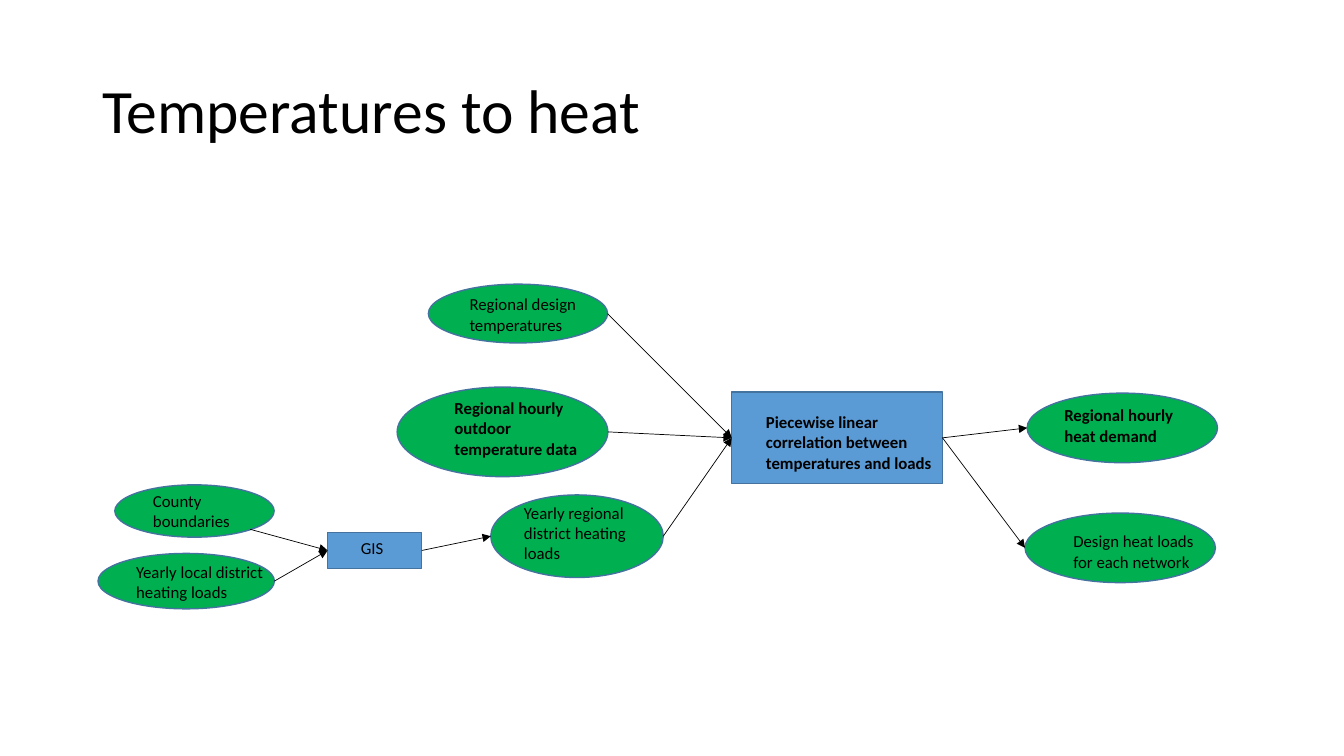
from dataclasses import dataclass

from lxml.etree import SubElement
from pptx import Presentation
from pptx.dml.color import RGBColor as Color
from pptx.enum.shapes import MSO_CONNECTOR as Link, MSO_SHAPE as Form
from pptx.enum.text import MSO_ANCHOR as Anchor
from pptx.oxml.ns import qn
from pptx.util import Pt


@dataclass(frozen=True)
class Theme:
    """Colours, font and type sizes."""
    data: str = "00B050"
    step: str = "5B9BD5"
    edge: str = "43739E"
    ink: str = "000000"
    font: str = "Calibri"
    title: int = 44
    label: int = 12


LOOK = Theme()
RIGHT, LEFT, LOWER = (1, 0.5), (0, 0.5), (0.85, 0.85)

# name: (form, box in the flow, label offset and width, label, bold)
NODES = {
    "county": (Form.OVAL, (12, 143.3, 113.8, 37.4), (20.2, 0.7, 106),
               "County boundaries", False),
    "local": (Form.OVAL, (0, 192.3, 126, 39.6), (20.2, 2.2, 106),
              "Yearly local district heating loads", False),
    "gis": (Form.RECTANGLE, (164, 177.2, 67.3, 26), (16.6, 0, 34),
            "GIS", False),
    "design": (Form.OVAL, (236, 0, 128, 42), (22.3, 3.6, 106),
               "Regional design temperatures", False),
    "hourly": (Form.OVAL, (213.7, 73.5, 150.5, 64), (33.8, 4.3, 106),
               "Regional hourly outdoor temperature data", True),
    "yearly": (Form.OVAL, (280.6, 150.5, 123.2, 59), (16.6, 2.2, 106),
               "Yearly regional district heating loads", False),
    "model": (Form.RECTANGLE, (452.7, 77, 150.5, 65.5), (17.3, 10.8, 133.2),
              "Piecewise linear correlation between temperatures and loads",
              True),
    "demand": (Form.OVAL, (663.7, 77.8, 136, 49.7), (19.4, 5, 106),
               "Regional hourly heat demand", True),
    "loads": (Form.OVAL, (662.2, 163.5, 136, 49.7), (27.4, 9.4, 110.2),
              "Design heat loads for each network", False),
}
ARROWS = [
    ("county", "gis", LOWER), ("local", "gis", RIGHT),
    ("gis", "yearly", RIGHT), ("design", "model", RIGHT),
    ("hourly", "model", RIGHT), ("yearly", "model", RIGHT),
    ("model", "demand", RIGHT), ("model", "loads", RIGHT),
]


def write(slide, text, box, size=LOOK.label, bold=False, anchor=Anchor.TOP,
          space=1.0):
    """Add a wrapped text box at box, in points."""
    frame = slide.shapes.add_textbox(*map(Pt, box)).text_frame
    frame.word_wrap = True
    frame.vertical_anchor = anchor
    para = frame.paragraphs[0]
    para.line_spacing = space
    run = para.add_run()
    run.text = text
    font = run.font
    font.name, font.size, font.bold = LOOK.font, Pt(size), bold
    font.color.rgb = Color.from_string(LOOK.ink)


def node(slide, box, form, inset, text, bold):
    """Draw one node in box, with its label set in from the corner."""
    shape = slide.shapes.add_shape(form, *map(Pt, box))
    shape.shadow.inherit = False
    fill = LOOK.data if form == Form.OVAL else LOOK.step
    shape.fill.solid()
    shape.fill.fore_color.rgb = Color.from_string(fill)
    shape.line.color.rgb = Color.from_string(LOOK.edge)
    shape.line.width = Pt(1)
    x, y, _, high = box
    dx, dy, wide = inset
    write(slide, text, (x + dx, y + dy, wide, high - dy), bold=bold)


def spot(box, part):
    """Give the point at a fraction of the width and height of box."""
    x, y, wide, high = box
    return Pt(x + part[0] * wide), Pt(y + part[1] * high)


def arrow(slide, start, end):
    """Draw a thin arrow between two points."""
    line = slide.shapes.add_connector(Link.STRAIGHT, *start, *end)
    line.line.color.rgb = Color.from_string(LOOK.ink)
    line.line.width = Pt(0.5)
    SubElement(line.line._get_or_add_ln(), qn("a:tailEnd"), type="triangle")
    SubElement(line._element.spPr, qn("a:effectLst"))


def flow(slide, left, top):
    """Draw the nodes and arrows from the given corner."""
    boxes = {}
    for name, (form, (x, y, wide, high), *label) in NODES.items():
        boxes[name] = (left + x, top + y, wide, high)
        node(slide, boxes[name], form, *label)
    for tail, head, side in ARROWS:
        arrow(slide, spot(boxes[tail], side), spot(boxes[head], LEFT))


def head(slide, box):
    """Write the slide title in box."""
    write(slide, "Temperatures to heat", box, size=LOOK.title,
          anchor=Anchor.MIDDLE, space=0.9)


def main():
    """Build and save the slide."""
    deck = Presentation()
    deck.slide_width, deck.slide_height = Pt(960), Pt(540)
    slide = deck.slides.add_slide(deck.slide_layouts[6])
    head(slide, (66, 28.8, 828, 104.4))
    flow(slide, 70, 203)
    deck.save("out.pptx")


main()
